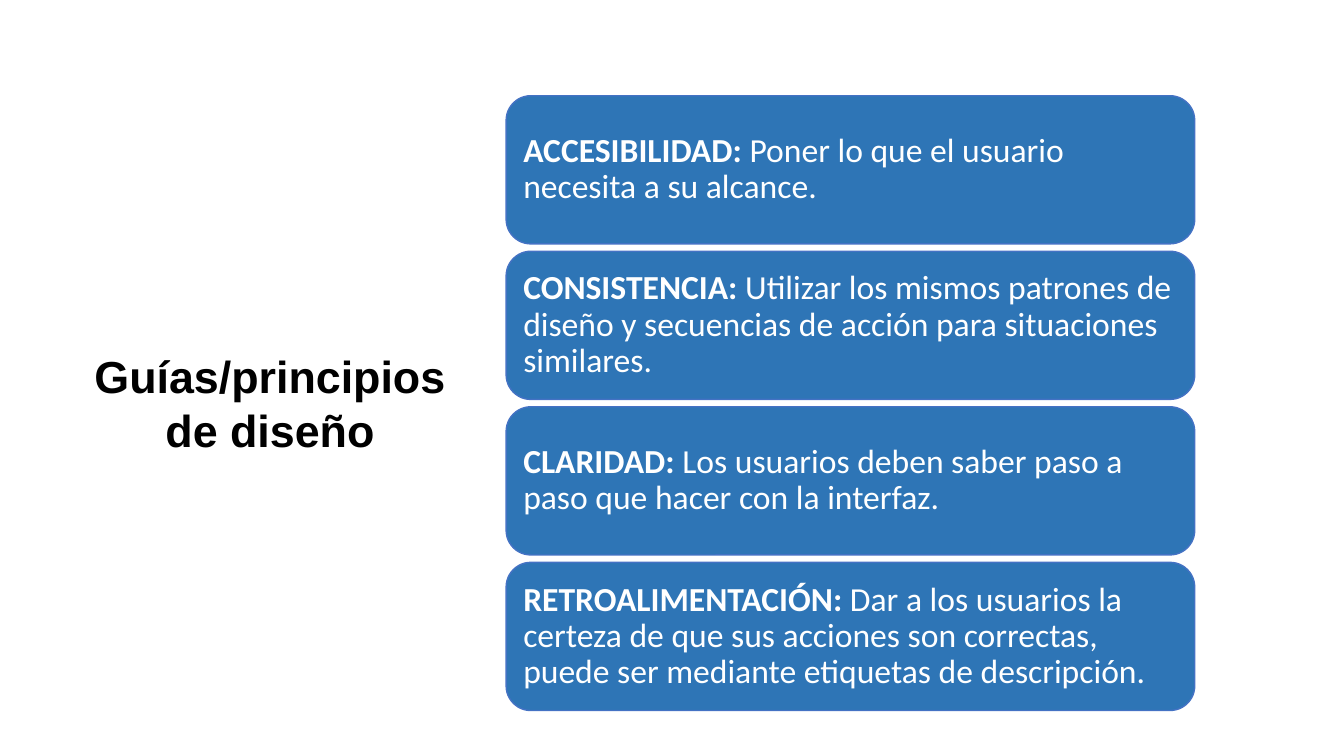
from pptx import Presentation
from pptx.dml.color import RGBColor
from pptx.enum.shapes import MSO_SHAPE
from pptx.enum.text import MSO_ANCHOR, MSO_AUTO_SIZE, PP_ALIGN
from pptx.util import Inches, Pt

COLORS = {"card": "2E75B6", "edge": "4472C4", "light": "FFFFFF", "title": "000000"}

PRINCIPLES = [
    ("ACCESIBILIDAD: ", "Poner lo que el usuario necesita a su alcance."),
    ("CONSISTENCIA: ", "Utilizar los mismos patrones de diseño y secuencias "
                       "de acción para situaciones similares."),
    ("CLARIDAD: ", "Los usuarios deben saber paso a paso que hacer con la interfaz."),
    ("RETROALIMENTACIÓN: ", "Dar a los usuarios la certeza de que sus acciones son "
                            "correctas, puede ser mediante etiquetas de descripción."),
]

# Card column, in inches
CARD_LEFT, CARD_TOP = 5.02, 0.95
CARD_WIDTH, CARD_HEIGHT = 6.83, 1.47
ROW_PITCH = 1.543


class SlideBuilder:
    """Holds the current slide and its text style."""

    def __init__(self, prs):
        self.s = prs.slides.add_slide(prs.slide_layouts[5])
        self.title_font, self.body_font = "Arial", "Calibri"

    def color(self, name):
        return RGBColor.from_string(COLORS[name])

    def style(self, r, font, size, color, bold):
        r.font.name, r.font.size, r.font.bold = font, Pt(size), bold
        r.font.color.rgb = self.color(color)

    def insets(self, tf, x, y):
        tf.margin_left = tf.margin_right = Inches(x)
        tf.margin_top = tf.margin_bottom = Inches(y)

    def title(self, text, left, top, width, height):
        sp = self.s.shapes.title
        sp.left, sp.top = Inches(left), Inches(top)
        sp.width, sp.height = Inches(width), Inches(height)
        tf = sp.text_frame
        tf.text = text
        tf.word_wrap = True
        tf.auto_size = MSO_AUTO_SIZE.NONE
        tf.vertical_anchor = MSO_ANCHOR.TOP
        self.insets(tf, 0.13, 0.07)
        p = tf.paragraphs[0]
        p.alignment, p.line_spacing = PP_ALIGN.CENTER, 1.0
        self.style(p.runs[0], self.title_font, 32, "title", True)

    def card(self, row, name, text):
        sp = self.s.shapes.add_shape(
            MSO_SHAPE.ROUNDED_RECTANGLE, Inches(CARD_LEFT),
            Inches(CARD_TOP + row * ROW_PITCH), Inches(CARD_WIDTH), Inches(CARD_HEIGHT))
        sp.shadow.inherit = False
        sp.fill.solid()
        sp.fill.fore_color.rgb = self.color("card")
        sp.line.color.rgb = self.color("edge")
        sp.line.width = Pt(1)
        tf = sp.text_frame
        tf.word_wrap = True
        tf.vertical_anchor = MSO_ANCHOR.MIDDLE
        self.insets(tf, 0.1, 0.1)
        p = tf.paragraphs[0]
        p.alignment, p.line_spacing = PP_ALIGN.LEFT, 0.9
        for words, bold in ((name, True), (text, False)):
            r = p.add_run()
            r.text = words
            self.style(r, self.body_font, 24, "light", bold)


def main():
    prs = Presentation()
    prs.slide_width, prs.slide_height = Inches(13.33), Inches(7.5)
    slide = SlideBuilder(prs)

    # Heading on the left
    slide.title("Guías/principios de diseño", 0.56, 3.39, 4.24, 1.21)

    # Stack of principles on the right
    for row, (name, text) in enumerate(PRINCIPLES):
        slide.card(row, name, text)

    prs.save("out.pptx")


if __name__ == "__main__":
    main()
